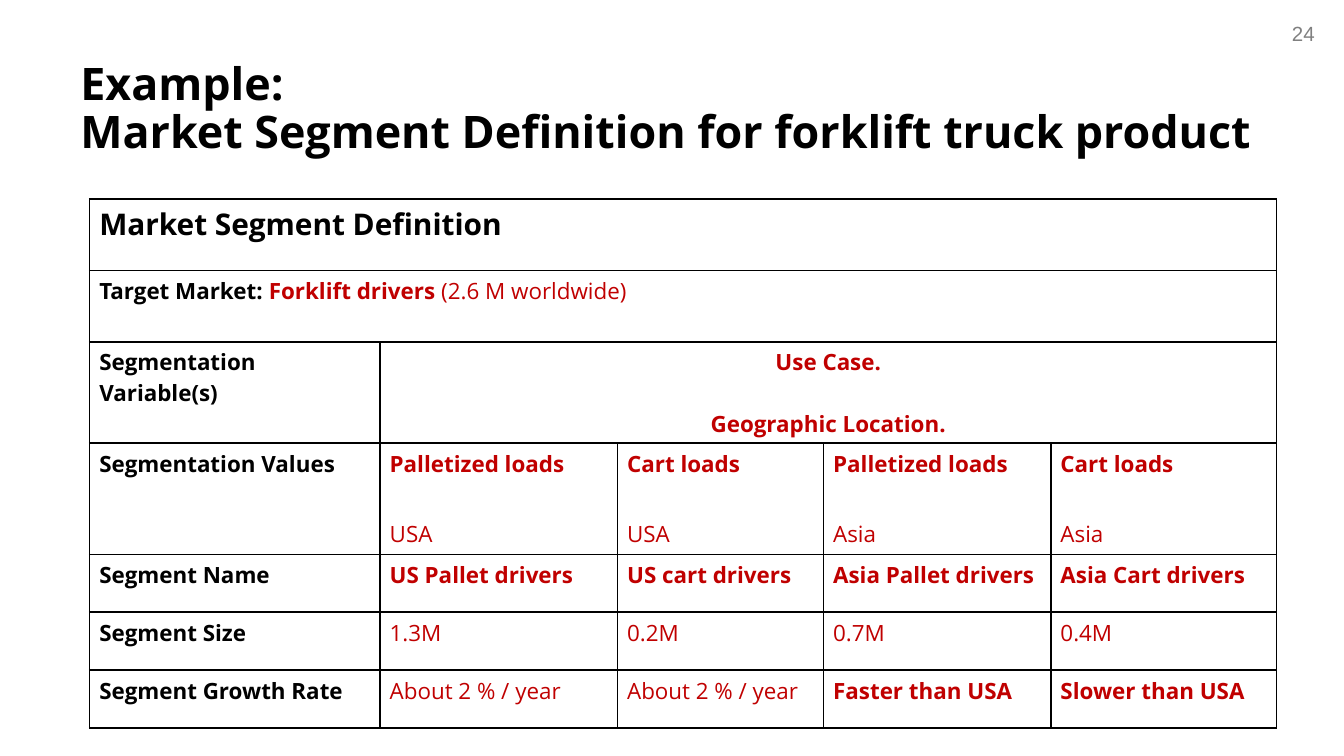
"""Build the market segment definition slide."""
from lxml import etree
from pptx import Presentation
from pptx.dml.color import RGBColor
from pptx.enum.text import MSO_ANCHOR, PP_ALIGN
from pptx.oxml.ns import qn
from pptx.util import Pt

LEFT, CENTER, RIGHT = PP_ALIGN.LEFT, PP_ALIGN.CENTER, PP_ALIGN.RIGHT
TOP = MSO_ANCHOR.TOP
COLORS = {"ink": "000000", "answer": "C00000", "number": "808080", "paper": "FFFFFF"}
COLUMN_WIDTHS = [155.6, 127.2, 110.4, 121.8, 121]
ROW_HEIGHTS = [38.3, 38.3, 54.2, 59.6, 31, 31, 31]
SEGMENTS = [
    ("Palletized loads", "USA", "US Pallet drivers", "1.3M", "About 2 % / year"),
    ("Cart loads", "USA", "US cart drivers", "0.2M", "About 2 % / year"),
    ("Palletized loads", "Asia", "Asia Pallet drivers", "0.7M", "Faster than USA"),
    ("Cart loads", "Asia", "Asia Cart drivers", "0.4M", "Slower than USA"),
]
LABELS = ["Segmentation Variable(s)", "Segmentation Values", "Segment Name",
          "Segment Size", "Segment Growth Rate"]


def add_span(para, text, size=12, color="answer", bold=True, font="Open Sans"):
    span = para.add_run()
    span.text = text
    span.font.name = font
    span.font.size = Pt(size)
    span.font.bold = bold
    span.font.color.rgb = RGBColor.from_string(COLORS[color])


def write_lines(frame, lines, align=LEFT, gap=0, spacing=1.0, **style):
    for index, line in enumerate(lines):
        para = frame.paragraphs[0] if index == 0 else frame.add_paragraph()
        para.alignment = align
        para.line_spacing = spacing
        para.space_before = Pt(gap if index else 0)
        add_span(para, line, **style)


def add_text(page, lines, left, top, width, height, inset_top=3.6, **style):
    box = page.shapes.add_textbox(Pt(left), Pt(top), Pt(width), Pt(height))
    frame = box.text_frame
    frame.word_wrap = True
    frame.vertical_anchor = TOP
    frame.margin_top = Pt(inset_top)
    write_lines(frame, lines, **style)


def format_cell(cell):
    cell.margin_left = cell.margin_right = Pt(5.2)
    cell.margin_top = cell.margin_bottom = Pt(2.7)
    cell.vertical_anchor = TOP
    properties = cell._tc.get_or_add_tcPr()
    for side in ("a:lnL", "a:lnR", "a:lnT", "a:lnB"):
        line = etree.SubElement(properties, qn(side), w=str(Pt(1)))
        fill = etree.SubElement(line, qn("a:solidFill"))
        etree.SubElement(fill, qn("a:srgbClr"), val=COLORS["ink"])
    cell.fill.solid()
    cell.fill.fore_color.rgb = RGBColor.from_string(COLORS["paper"])


def add_grid(page, left, top):
    holder = page.shapes.add_table(
        len(ROW_HEIGHTS), len(COLUMN_WIDTHS), Pt(left), Pt(top),
        Pt(sum(COLUMN_WIDTHS)), Pt(sum(ROW_HEIGHTS)))
    table = holder.table
    table.first_row = table.horz_banding = False
    for column, width in zip(table.columns, COLUMN_WIDTHS):
        column.width = Pt(width)
    for row, height in zip(table.rows, ROW_HEIGHTS):
        row.height = Pt(height)
    for cell in table.iter_cells():
        format_cell(cell)
    for row, column in ((0, 0), (1, 0), (2, 1)):
        table.cell(row, column).merge(table.cell(row, len(COLUMN_WIDTHS) - 1))
    return table


def fill_headings(table):
    write_lines(table.cell(0, 0).text_frame, ["Market Segment Definition"],
                size=16, color="ink")
    target = table.cell(1, 0).text_frame.paragraphs[0]
    add_span(target, "Target Market: ", color="ink")
    add_span(target, "Forklift drivers ")
    add_span(target, "(2.6 M worldwide)", bold=False)
    for row, label in enumerate(LABELS, start=2):
        write_lines(table.cell(row, 0).text_frame, [label], color="ink")
    write_lines(table.cell(2, 1).text_frame, ["Use Case.", "Geographic Location."],
                align=CENTER, gap=16.4)


def fill_segments(table):
    for column, (load, region, name, size, growth) in enumerate(SEGMENTS, start=1):
        values = table.cell(3, column).text_frame
        write_lines(values, [load, region], gap=21.2)
        values.paragraphs[1].runs[0].font.bold = False
        write_lines(table.cell(4, column).text_frame, [name])
        write_lines(table.cell(5, column).text_frame, [size], bold=False)
        write_lines(table.cell(6, column).text_frame, [growth],
                    bold=growth.endswith("USA"))


def main():
    deck = Presentation()
    deck.slide_width, deck.slide_height = Pt(720), Pt(405)
    page = deck.slides.add_slide(deck.slide_layouts[6])
    add_text(page, ["24"], 671.8, 7.9, 39.6, 20.9, align=RIGHT, size=11,
             color="number", bold=False, font="Arial")
    add_text(page, ["Example:", "Market Segment Definition for forklift truck product"],
             36, 28.8, 648, 48.2, inset_top=4.3, spacing=0.9, size=24, color="ink")
    table = add_grid(page, 48, 106.6)
    fill_headings(table)
    fill_segments(table)
    deck.save("out.pptx")


if __name__ == "__main__":
    main()
